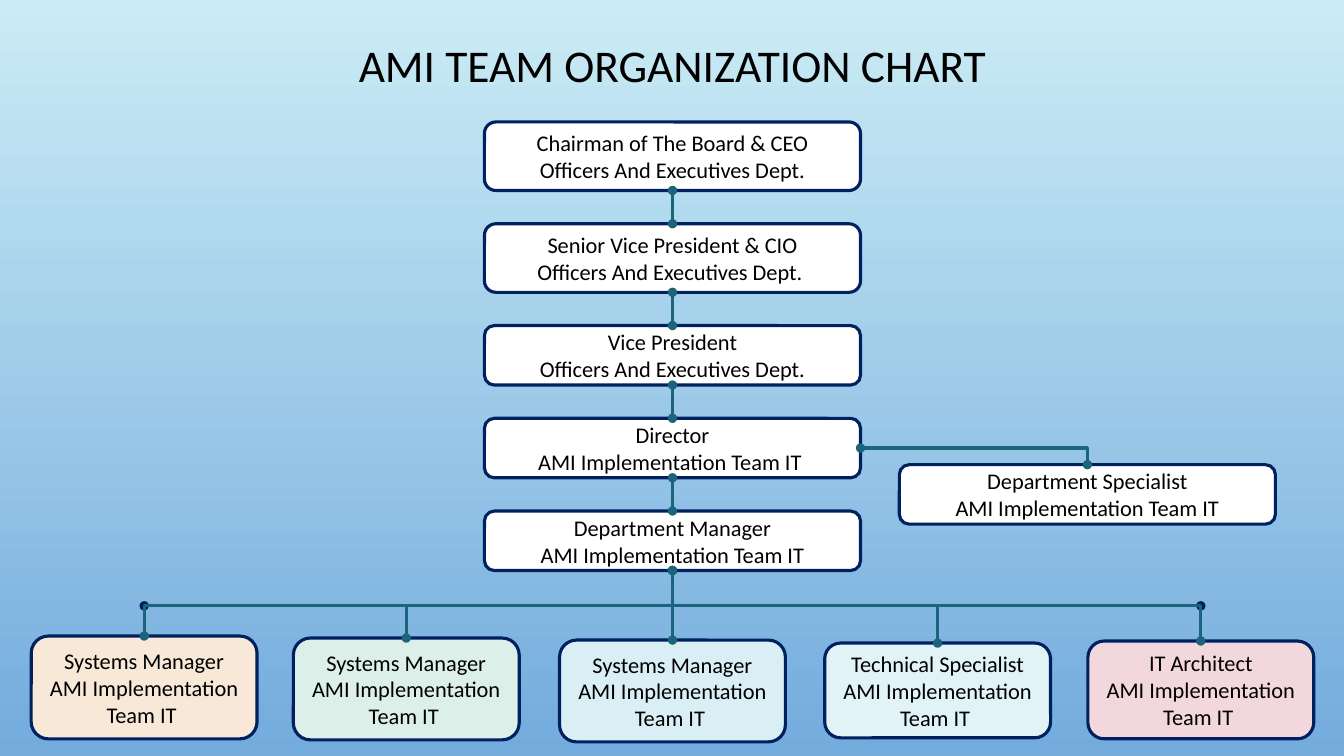
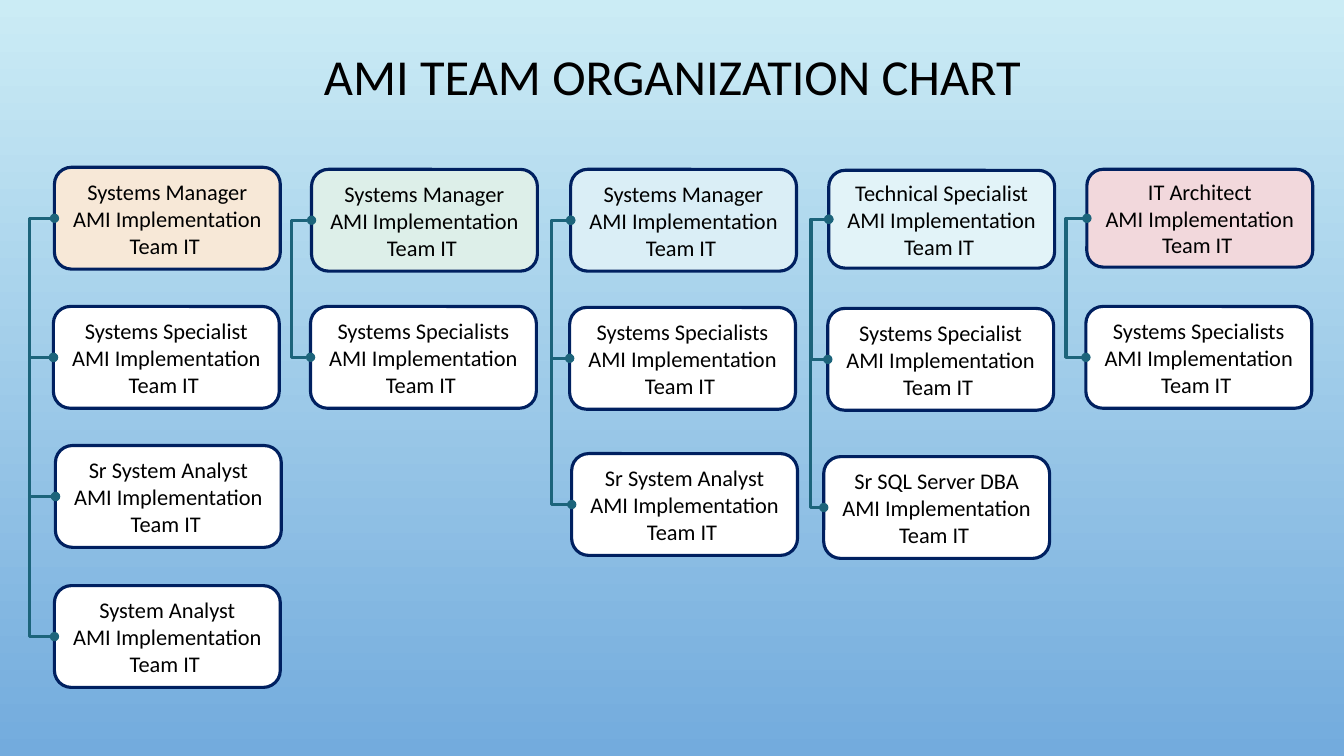
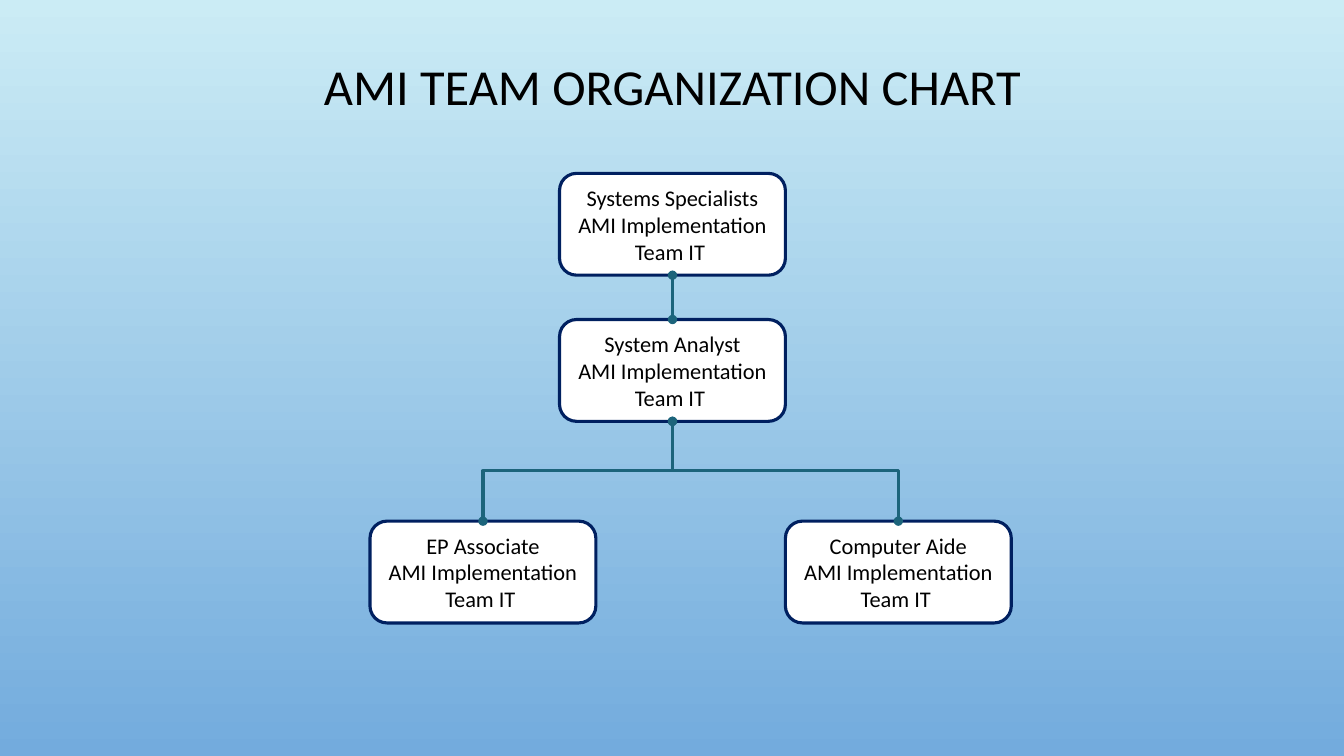
import pptx
import pptx.util
import pptx.dml.color
import pptx.enum.shapes
import pptx.enum.text
import pptx.oxml
import pptx.oxml.ns

Inches = pptx.util.Inches
Pt = pptx.util.Pt
qn = pptx.oxml.ns.qn
A = pptx.oxml.ns.nsdecls("a")
KIND = pptx.enum.shapes.MSO_CONNECTOR
TOP, LEFT, BOTTOM, RIGHT = range(4)

NAVY, TEAL, WHITE, BLACK = "002060", "1C647B", "FFFFFF", "000000"
PEACH, MINT, SKY, ICE, ROSE = "F7E8D7", "DDEFE9", "DAEEF6", "E2F3F8", "F2D8DC"
BACKGROUND = ("CBECF5", "73ABDD")
TITLE = "AMI TEAM ORGANIZATION CHART"
TEAM = "AMI Implementation Team IT "
OFFICERS = "Officers And Executives Dept."
WIDE, NARROW, TALL = 3.73, 2.24, 1.01
MIDDLE = 6.67

CHAIN = [
    ("Chairman of The Board & CEO", OFFICERS, 0.68),
    ("Senior Vice President & CIO", OFFICERS + " ", 0.68),
    ("Vice President", OFFICERS, 0.59),
    ("Director", TEAM, 0.59),
    ("Department Manager", TEAM.strip(), 0.59),
]
CHAIN_TOP, CHAIN_GAP = 1.21, 0.33
BUS_Y = 6.01
REPORTS = [
    ("Systems Manager", 0.31, 6.31, 1.02, PEACH),
    ("Systems Manager", 2.91, 6.33, TALL, MINT),
    ("Systems Manager", 5.55, 6.35, TALL, SKY),
    ("Technical Specialist", 8.18, 6.38, 0.94, ICE),
    ("IT Architect", 10.79, 6.36, 0.97, ROSE),
]
COLUMNS = [
    (0.29, PEACH, TALL, [("Systems Manager", 0.54, 1.66), ("Systems Specialist", 0.53, 3.04),
                         ("Sr System Analyst", 0.55, 4.42), ("System Analyst", 0.54, 5.81)],
     [(0, 1), (1, 2), (2, 3)]),
    (2.89, MINT, TALL, [("Systems Manager", 3.09, 1.68), ("Systems Specialists", 3.08, 3.04)],
     [(0, 1)]),
    (5.47, SKY, TALL, [("Systems Manager", 5.66, 1.68), ("Systems Specialists", 5.65, 3.05),
                       ("Sr System Analyst", 5.67, 4.5)], [(0, 1), (0, 2)]),
    (8.04, ICE, 0.97, [("Technical Specialist", 8.22, 1.69), ("Systems Specialist", 8.21, 3.06),
                       ("Sr SQL Server DBA", 8.17, 4.53)], [(0, 1), (0, 2)]),
    (10.57, ROSE, 0.97, [("IT Architect", 10.78, 1.68), ("Systems Specialists", 10.77, 3.04)],
     [(0, 1)]),
]
AIDES = [("EP Associate", 3.67), ("Computer Aide", 7.79)]


def rgb(value):
    return pptx.dml.color.RGBColor.from_string(value)


def style(p, size):
    p.alignment = pptx.enum.text.PP_ALIGN.CENTER
    for name, value in {"name": "Calibri", "size": Pt(size), "bold": False}.items():
        setattr(p.font, name, value)
    p.font.color.rgb = rgb(BLACK)


def place(sp, left, top, width, height):
    for name, value in {"left": left, "top": top, "width": width, "height": height}.items():
        setattr(sp, name, value)


def add_slide(prs, top, height, size):
    s = prs.slides.add_slide(prs.slide_layouts[5])
    place(s.shapes.title, *map(Inches, (0.92, top, 11.5, height)))
    tf = s.shapes.title.text_frame
    tf.text = TITLE
    tf.vertical_anchor = pptx.enum.text.MSO_ANCHOR.MIDDLE
    tf.paragraphs[0].line_spacing = 0.9
    style(tf.paragraphs[0], size)
    return s


def add_box(s, role, unit, left, top, width=NARROW, height=TALL, fill=WHITE):
    sp = s.shapes.add_shape(pptx.enum.shapes.MSO_SHAPE.ROUNDED_RECTANGLE,
                            *map(Inches, (left, top, width, height)))
    sp.shadow.inherit = False
    sp.fill.solid()
    sp.fill.fore_color.rgb = rgb(fill)
    sp.line.color.rgb = rgb(NAVY)
    sp.line.width = Pt(2.25)
    tf = sp.text_frame
    tf.word_wrap = True
    tf.vertical_anchor = pptx.enum.text.MSO_ANCHOR.MIDDLE
    tf.text = f"{role}\n{unit}"
    for p in tf.paragraphs:
        style(p, 16)
    return sp


def add_line(s, start, end, color=TEAL, kind=KIND.STRAIGHT):
    line = s.shapes.add_connector(kind, *start, *end)
    line.line.color.rgb = rgb(color)
    line.line.width = Pt(2.25)
    for tag in ("headEnd", "tailEnd"):
        line.line._ln.append(pptx.oxml.parse_xml(f'<a:{tag} {A} type="oval"/>'))
    line._element.spPr.append(pptx.oxml.parse_xml(f"<a:effectLst {A}/>"))
    return line


def site(sp, side):
    x = {LEFT: 0, RIGHT: sp.width}.get(side, sp.width // 2)
    y = {TOP: 0, BOTTOM: sp.height}.get(side, sp.height // 2)
    return sp.left + x, sp.top + y


def join(s, upper, lower, start=BOTTOM, end=TOP, kind=KIND.STRAIGHT):
    line = add_line(s, site(upper, start), site(lower, end), kind=kind)
    line.begin_connect(upper, start)
    line.end_connect(lower, end)
    return line


def bend(line, share, **turn):
    for name, value in turn.items():
        line._element.spPr.xfrm.set(name, str(value))
    guides = line._element.spPr.find(qn("a:prstGeom")).find(qn("a:avLst"))
    guides.append(pptx.oxml.parse_xml(
        f'<a:gd {A} name="adj1" fmla="val {round(share * 100000)}"/>'))


def branch(s, upper, lower, bus_y):
    (x1, y1), (x2, y2) = site(upper, BOTTOM), site(lower, TOP)
    if abs(x2 - x1) < Inches(0.05):
        join(s, upper, lower)
        return
    line = join(s, upper, lower, kind=KIND.ELBOW)
    length, breadth = y2 - y1, abs(x2 - x1)
    place(line, (x1 + x2 - length) // 2, (y1 + y2 - breadth) // 2, length, breadth)
    to_right = x2 > x1
    bend(line, (Inches(bus_y) - y1) / length, rot=16200000 if to_right else 5400000,
         flipH=int(to_right), flipV=0)


def bracket(s, upper, lower, rail):
    (x1, y1), (x2, y2) = site(upper, LEFT), site(lower, LEFT)
    line = join(s, upper, lower, LEFT, LEFT, KIND.ELBOW)
    place(line, min(x1, x2), y1, abs(x2 - x1), y2 - y1)
    bend(line, (Inches(rail) - x1) / (x2 - x1), rot=10800000, flipH=int(x2 > x1), flipV=1)


def build_leadership(prs):
    s = add_slide(prs, 0.38, 0.59, 32.4)
    chain, top = [], CHAIN_TOP
    for role, unit, height in CHAIN:
        chain.append(add_box(s, role, unit, MIDDLE - WIDE / 2, top, WIDE, height))
        top += height + CHAIN_GAP
    for upper, lower in zip(chain, chain[1:]):
        join(s, upper, lower)
    director, manager = chain[-2:]
    reports = [add_box(s, role, TEAM, left, top, NARROW, height, fill)
               for role, left, top, height, fill in REPORTS]
    bus_ends = [(site(sp, TOP)[0], Inches(BUS_Y)) for sp in (reports[0], reports[-1])]
    add_line(s, *bus_ends, color=NAVY)
    for sp in reports:
        branch(s, manager, sp, BUS_Y)
    specialist = add_box(s, "Department Specialist", TEAM.strip(), 8.92, 4.61, WIDE, 0.59)
    elbow = join(s, director, specialist, RIGHT, TOP, KIND.ELBOW)
    elbow._element.spPr.find(qn("a:prstGeom")).set("prst", "bentConnector2")


def build_teams(prs):
    s = add_slide(prs, 0.42, 0.73, 36)
    for rail, color, head_height, members, links in COLUMNS:
        boxes = [add_box(s, role, TEAM, left, top, NARROW,
                         TALL if i else head_height, WHITE if i else color)
                 for i, (role, left, top) in enumerate(members)]
        for upper, lower in links:
            bracket(s, boxes[upper], boxes[lower], rail)


def build_support(prs):
    s = add_slide(prs, 0.5, 0.78, 36)
    lead = add_box(s, "Systems Specialists", TEAM, 5.55, 1.72)
    analyst = add_box(s, "System Analyst", TEAM, 5.55, 3.17)
    join(s, lead, analyst)
    for role, left in AIDES:
        branch(s, analyst, add_box(s, role, TEAM, left, 5.17), 4.67)


def main():
    prs = pptx.Presentation()
    prs.slide_width, prs.slide_height = Inches(13.33), Inches(7.5)
    fill = prs.slide_master.background.fill
    fill.gradient()
    fill.gradient_angle = 270
    for stop, color, position in zip(fill.gradient_stops, BACKGROUND, (0, 1)):
        stop.color.rgb = rgb(color)
        stop.position = position
    for build in (build_leadership, build_teams, build_support):
        build(prs)
    prs.save("out.pptx")


if __name__ == "__main__":
    main()
